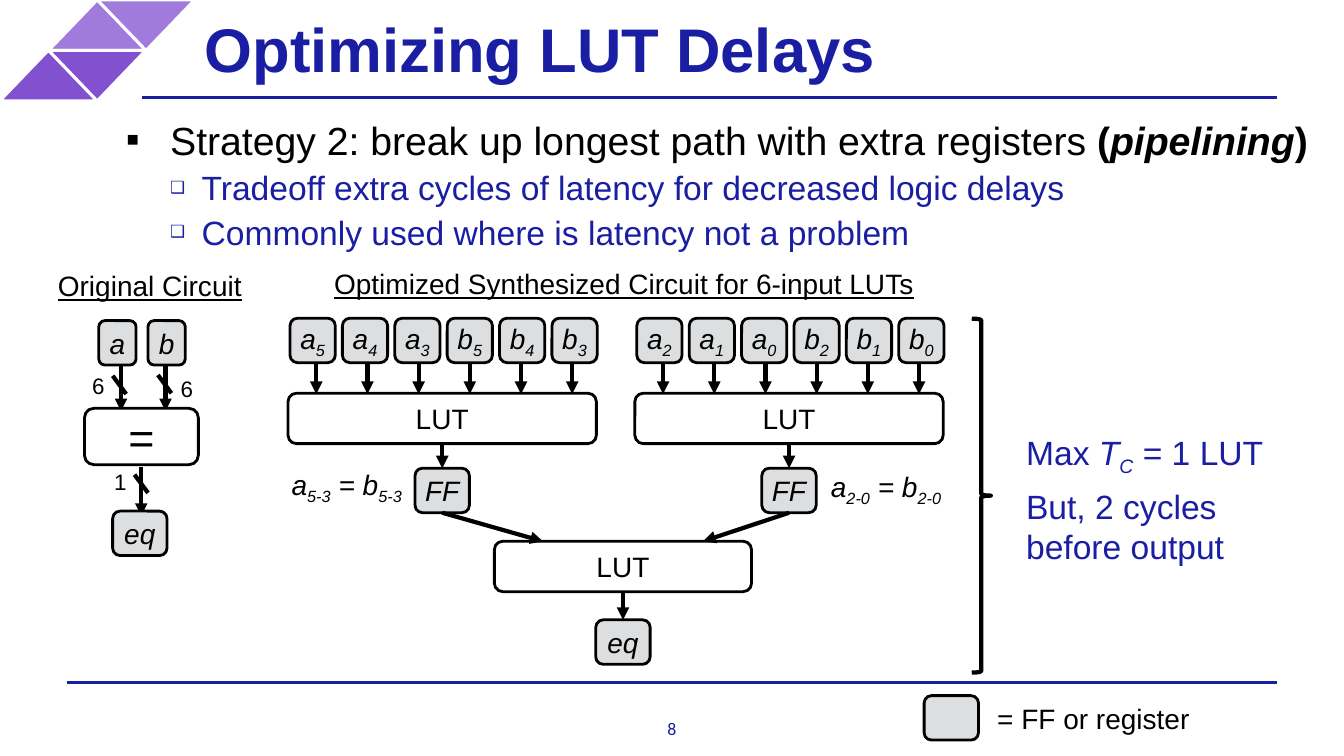
from lxml.etree import SubElement
from pptx import Presentation
from pptx.dml.color import RGBColor
from pptx.enum.shapes import MSO_CONNECTOR, MSO_SHAPE as SHAPE
from pptx.enum.text import MSO_ANCHOR as ANCHOR, MSO_AUTO_SIZE, PP_ALIGN as ALIGN
from pptx.oxml.ns import qn
from pptx.util import Cm, Pt

BLACK, WHITE, NAVY, GRAY = "000000", "FFFFFF", "191EA2", "DCDEE0"
LIGHT_PURPLE, PURPLE = "A07BDB", "8151CF"
SUB, ITALIC = {"sub": True}, {"italic": True}

# A run is a string or a (string, format) pair; lengths are centimetres.
TITLE = "Optimizing LUT Delays"
STRATEGY = ["Strategy 2: break up longest path with extra registers ",
            ("(", {"bold": True}),
            ("pipelining", {"bold": True, "italic": True}),
            (")", {"bold": True})]
TRADEOFFS = ["Tradeoff extra cycles of latency for decreased logic delays",
             "Commonly used where is latency not a problem"]
RESULTS = [["Max ", ("T", ITALIC), ("C", {"italic": True, "sub": True}), " = 1 LUT"],
           ["But, 2 cycles\nbefore output"]]
CAPTIONS = [("Original Circuit", 1.3, 6.63, 5),
            ("Optimized Synthesized Circuit for 6-input LUTs", 8.26, 6.58, 15.42)]
# LUT left edge, input registers, compared bits, left and top of the comparison
HALVES = [(7.26, ["a5", "a4", "a3", "b5", "b4", "b3"], "5-3", 7.19, 11.68),
          (16, ["a2", "a1", "a0", "b2", "b1", "b0"], "2-0", 20.78, 11.73)]
# wire x, start y, end y, slash x, slash y, bit width, left and top of the bit width
BUSES = [(3.05, 8.81, 10.36, 3.01, 9.7, "6", 2.16, 9.22),
         (4.17, 8.81, 10.36, 4.15, 9.68, "6", 4.39, 9.3),
         (3.56, 11.76, 13, 3.56, 12.19, "1", 2.72, 11.66)]
ORIGINAL_REGISTERS = [("a", 2.49, 8.08, 0.94), ("b", 3.73, 8.08, 0.94),
                      ("eq", 2.84, 12.88, 1.37)]

LUT_W, LUT_H, LUT_TOP = 7.77, 1.27, 9.91
REG_W, REG_H, REG_TOP, REG_PITCH = 1.14, 1.12, 8.02, 1.32
WIRE_PITCH = 1.29
FF_W, FF_TOP = 1.37, 11.8
FINAL_X, FINAL_W, FINAL_TOP, EQ_TOP = 15.7, 6.48, 13.64, 15.62

prs = Presentation()
prs.slide_width, prs.slide_height = Cm(33.87), Cm(19.05)
s = prs.slides.add_slide(prs.slide_layouts[1])


def color(value):
    return RGBColor.from_string(value)


def write(p, runs, size=20, c=BLACK, font="Arial", align=ALIGN.LEFT, before=0, **fmt):
    p.alignment, p.space_before, p.line_spacing = align, Pt(before), 1.0
    for run in [runs] if isinstance(runs, str) else runs:
        text, own = (run, {}) if isinstance(run, str) else run
        look = {**fmt, **own}
        for i, line in enumerate(text.split("\n")):
            if i:
                p.add_line_break()
            r = p.add_run()
            r.text = line
            f = r.font
            f.name, f.size, f.color.rgb = font, Pt(size), color(c)
            f.bold = look.get("bold", False)
            f.italic = look.get("italic", False)
            f.underline = look.get("underline", False)
            if look.get("sub"):
                r._r.get_or_add_rPr().set("baseline", "-25000")


def frame(sp, inset=0.16, anchor=ANCHOR.MIDDLE, wrap=True):
    """Set up the text frame of a shape and return it."""
    tf = sp.text_frame
    tf.word_wrap, tf.auto_size, tf.vertical_anchor = wrap, MSO_AUTO_SIZE.NONE, anchor
    tf.margin_left = tf.margin_top = tf.margin_right = tf.margin_bottom = Cm(inset)
    return tf


def place(sp, x, y, w, h):
    sp.left, sp.top, sp.width, sp.height = Cm(x), Cm(y), Cm(w), Cm(h)


def indent(p, left, first=0, bullet=None, percent=100):
    pPr = p._p.get_or_add_pPr()
    pPr.set("marL", str(Cm(left)))
    pPr.set("indent", str(Cm(first)))
    if bullet:
        SubElement(pPr, qn("a:buSzPct")).set("val", str(percent * 1000))
        SubElement(pPr, qn("a:buFont")).set("typeface", "Arial")
        SubElement(pPr, qn("a:buChar")).set("char", bullet)


def shape(kind, x, y, w, h, fill=None, line=BLACK, width=2):
    sp = s.shapes.add_shape(kind, Cm(x), Cm(y), Cm(w), Cm(h))
    sp.shadow.inherit = False
    if fill:
        sp.fill.solid()
        sp.fill.fore_color.rgb = color(fill)
    else:
        sp.fill.background()
    if line:
        sp.line.color.rgb, sp.line.width = color(line), Pt(width)
    else:
        sp.line.fill.background()
    return sp


def box(runs, x, y, w, h, fill=WHITE, **fmt):
    sp = shape(SHAPE.ROUNDED_RECTANGLE, x, y, w, h, fill)
    if runs:
        write(frame(sp).paragraphs[0], runs, align=ALIGN.CENTER, **fmt)


def register(runs, x, y, w=FF_W):
    box(runs, x, y, w, REG_H, GRAY, italic=True)


def label(runs, x, y, w, h=1.14, **fmt):
    sp = s.shapes.add_textbox(Cm(x), Cm(y), Cm(w), Cm(h))
    write(frame(sp).paragraphs[0], runs, **fmt)


def line(x1, y1, x2, y2, c=BLACK, width=3, arrow=False):
    cn = s.shapes.add_connector(MSO_CONNECTOR.STRAIGHT, Cm(x1), Cm(y1), Cm(x2), Cm(y2))
    cn.line.color.rgb, cn.line.width = color(c), Pt(width)
    if arrow:
        SubElement(cn.line._get_or_add_ln(), qn("a:tailEnd")).set("type", "triangle")
    SubElement(cn._element.spPr, qn("a:effectLst"))


# Title, list and page furniture
title, body = s.shapes.title, s.placeholders[1]
place(title, 4.8, 0, 25.6, 2.41)
write(frame(title, 0.36).paragraphs[0], TITLE, size=44, c=NAVY, bold=True)
place(body, 3.02, 2.92, 30.3, 13.84)
tf = frame(body, 0, ANCHOR.TOP)
write(tf.paragraphs[0], STRATEGY, size=28, before=6)
indent(tf.paragraphs[0], 1.27, -1.12, "▪")
for text in TRADEOFFS:
    p = tf.add_paragraph()
    p.level = 1
    write(p, text, size=24, c=NAVY, before=3)
    indent(p, 2.06, -0.79, "❑", 50)

line(1.68, 17.2, 32.18, 17.2, NAVY, 2)
line(3.58, 2.46, 32.18, 2.46, NAVY, 2)
for row, fill in enumerate([LIGHT_PURPLE, PURPLE]):
    for col, angle in enumerate([0, 180]):
        sp = shape(SHAPE.ISOSCELES_TRIANGLE, 1.23 * (1 - row + col), 1.27 * row,
                   2.44, 1.27, fill, WHITE)
        sp.rotation = angle
number = s.shapes.add_textbox(Cm(16.81), Cm(18.08), Cm(0.25), Cm(0.53))
write(frame(number, 0, ANCHOR.TOP, wrap=False).paragraphs[0], "8",
      size=12.7, c=NAVY, font="Calibri", align=ALIGN.CENTER)

for text, x, y, w in CAPTIONS:
    label(text, x, y, w, underline=True)

# Original circuit
for x, y1, y2, slash_x, slash_y, bits, bits_x, bits_y in BUSES:
    line(x, y1, x, y2, arrow=True)
    line(slash_x - 0.17, slash_y - 0.23, slash_x + 0.17, slash_y + 0.23)
    label(bits, bits_x, bits_y, 0.94, 0.97, size=16)
box("=", 2.13, 10.29, 2.87, 1.42, size=32)
for name, x, y, w in ORIGINAL_REGISTERS:
    register(name, x, y, w)

# Optimized circuit
box("LUT", FINAL_X - FINAL_W / 2, FINAL_TOP, FINAL_W, LUT_H)
for left, inputs, bits, label_x, label_y in HALVES:
    mid = left + LUT_W / 2
    box("LUT", left, LUT_TOP, LUT_W, LUT_H)
    for i, (name, index) in enumerate(inputs):
        wire_x = left + 0.71 + i * WIRE_PITCH
        line(wire_x, 9.17, wire_x, 9.93, arrow=True)
        register([name, (index, SUB)], left + 0.05 + i * REG_PITCH, REG_TOP, REG_W)
    label(["a", (bits, SUB), " = b", (bits, SUB)], label_x, label_y, 3.38, italic=True)
    register("FF", mid - FF_W / 2, FF_TOP)
    line(mid, LUT_TOP + LUT_H, mid, FF_TOP, arrow=True)
    entry = FINAL_X + (2.02 if mid > FINAL_X else -2.02)
    line(mid, FF_TOP + REG_H, entry, FINAL_TOP, arrow=True)
line(FINAL_X, FINAL_TOP + LUT_H, FINAL_X, EQ_TOP, arrow=True)
register("eq", FINAL_X - FF_W / 2, EQ_TOP)

# Result and legend
shape(SHAPE.RIGHT_BRACE, 24.49, 8.03, 0.48, 8.92, width=3)
tf = frame(shape(SHAPE.RECTANGLE, 25.55, 10.16, 7.72, 4.83, WHITE, line=None))
for i, runs in enumerate(RESULTS):
    p = tf.add_paragraph() if i else tf.paragraphs[0]
    write(p, runs, size=24, c=NAVY, before=6)
    indent(p, 0.15)
register(None, 23.29, 17.53)
label("= FF or register", 24.97, 17.53, 5.99)

prs.save("out.pptx")
